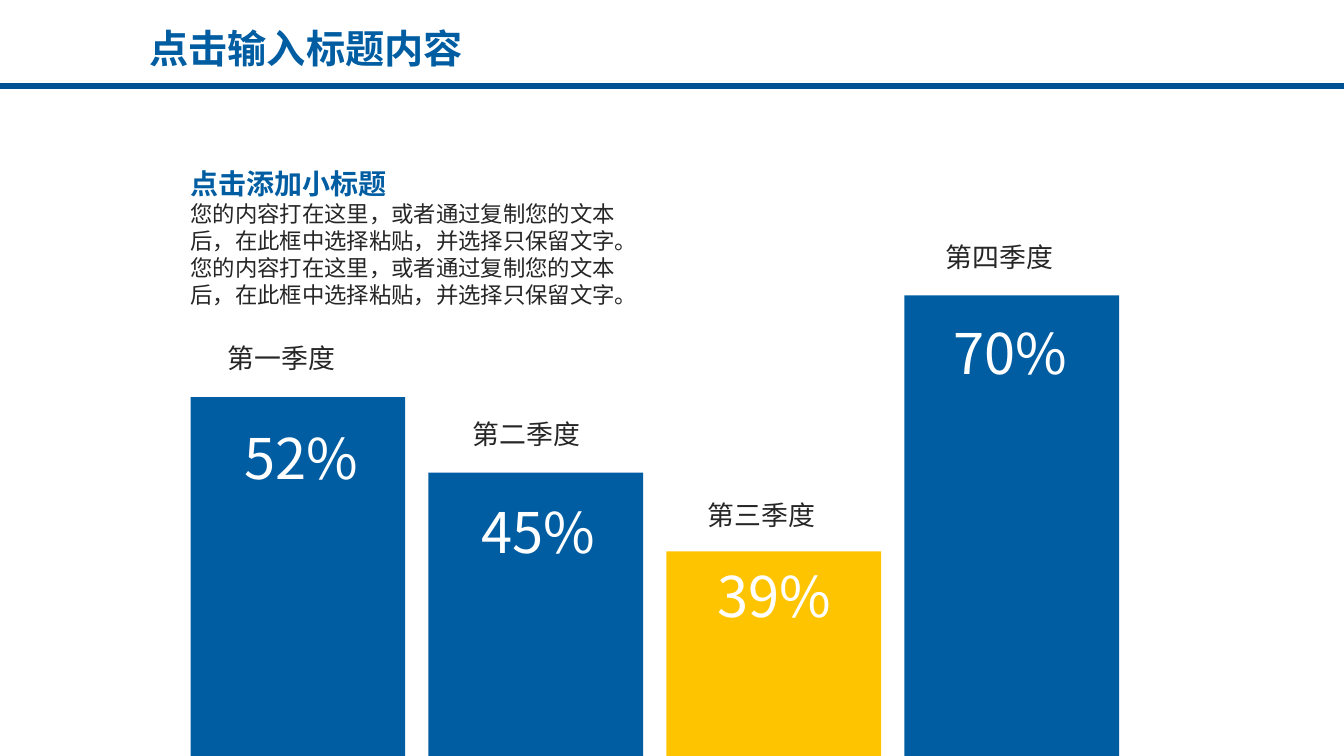
from dataclasses import dataclass
from pptx import Presentation
from pptx.dml.color import RGBColor
from pptx.enum.shapes import MSO_SHAPE as Shape
from pptx.enum.text import MSO_ANCHOR as Anchor, MSO_AUTO_SIZE as AutoSize, PP_ALIGN as Align
from pptx.oxml.ns import qn
from pptx.util import Inches, Pt
from lxml.etree import SubElement


@dataclass(frozen=True)
class Theme:
    font: str = "Noto Sans CJK SC"
    blue: str = "005DA2"
    rule: str = "005292"
    yellow: str = "FFC400"
    ink: str = "262626"
    white: str = "FFFFFF"
    title: int = 28
    subtitle: int = 20
    body: int = 16
    value: int = 40
    label: int = 24


@dataclass(frozen=True)
class Quarter:
    label: str
    value: str
    color: str
    top: float
    label_shift: tuple
    value_shift: tuple


THEME = Theme()
SLIDE_WIDTH, SLIDE_HEIGHT = 13.33, 7.5
BODY_TEXT = "您的内容打在这里，或者通过复制您的文本后，在此框中选择粘贴，并选择只保留文字。"
QUARTERS = [
    Quarter("第一季度", "52%", THEME.blue, 3.94, (0.29, -0.61), (0.44, 0.21)),
    Quarter("第二季度", "45%", THEME.blue, 4.69, (0.36, -0.61), (0.43, 0.2)),
    Quarter("第三季度", "39%", THEME.yellow, 5.47, (0.33, -0.58), (0.41, 0.05)),
    Quarter("第四季度", "70%", THEME.blue, 2.93, (0.33, -0.6), (0.39, 0.18)),
]


def set_all(target, values):
    for name, value in values.items():
        setattr(target, name, value)


def place(shape, box):
    set_all(shape, dict(zip(("left", "top", "width", "height"), map(Inches, box))))


def set_frame(frame, wrap=True, margins=(0.1, 0.05)):
    side, edge = map(Inches, margins)
    set_all(frame, {
        "word_wrap": wrap, "auto_size": AutoSize.SHAPE_TO_FIT_TEXT,
        "vertical_anchor": Anchor.TOP, "margin_left": side, "margin_right": side,
        "margin_top": edge, "margin_bottom": edge,
    })


def write(para, text, size, color, bold=False, align=Align.LEFT, spacing=1.0):
    set_all(para, {"alignment": align, "line_spacing": spacing,
                   "space_before": Pt(0), "space_after": Pt(0)})
    run = para.add_run()
    run.text = text
    set_all(run.font, {"name": THEME.font, "size": Pt(size), "bold": bold})
    run.font.color.rgb = RGBColor.from_string(color)
    properties = run._r.get_or_add_rPr()
    SubElement(properties, qn("a:ea")).set("typeface", THEME.font)
    return properties


def add_bar(page, box, color, line=None):
    bar = page.shapes.add_shape(Shape.RECTANGLE, *map(Inches, box))
    bar.shadow.inherit = False
    bar.fill.solid()
    bar.fill.fore_color.rgb = RGBColor.from_string(color)
    if line:
        bar.line.color.rgb = RGBColor.from_string(color)
        bar.line.width = Pt(line)
    else:
        bar.line.fill.background()


def add_header(page, box):
    left, top, width, height = box
    add_bar(page, (left, top + height - 0.05, width, 0.05), THEME.rule, line=1)
    title = page.shapes.title
    place(title, (left + 1.24, top + 0.19, 3.59, 0.57))
    set_frame(title.text_frame)
    write(title.text_frame.paragraphs[0], "点击输入标题内容", THEME.title,
          THEME.blue, bold=True, align=Align.CENTER)


def add_intro(page, box):
    body = page.placeholders[1]
    place(body, box)
    frame = body.text_frame
    set_frame(frame)
    rows = [("点击添加小标题", THEME.subtitle, THEME.blue, True, 2.0)]
    rows += [(BODY_TEXT, THEME.body, THEME.ink, False, 1.0)] * 2
    for index, (text, size, color, bold, spacing) in enumerate(rows):
        para = frame.add_paragraph() if index else frame.paragraphs[0]
        properties = para._p.get_or_add_pPr()
        properties.set("marL", "0")
        properties.set("indent", "0")
        SubElement(properties, qn("a:buNone"))
        write(para, text, size, color, bold, spacing=spacing)


def add_quarter(page, box, quarter):
    left, top, width, height = box
    add_bar(page, box, quarter.color)

    across, down = quarter.value_shift
    value = page.shapes.add_textbox(*map(Inches, (left + across, top + down, 1.36, 0.77)))
    set_frame(value.text_frame, wrap=False)
    write(value.text_frame.paragraphs[0], quarter.value, THEME.value, THEME.white)

    across, down = quarter.label_shift
    label = page.shapes.add_textbox(*map(Inches, (left + across, top + down, 1.54, 0.44)))
    set_frame(label.text_frame, margins=(0.08, 0.04))
    properties = write(label.text_frame.paragraphs[0], quarter.label, THEME.label,
                       THEME.ink, spacing=0.9)
    properties.set("cap", "small")


def add_quarters(page, box):
    left, top, width, height = box
    gap = 0.23
    bar_width = (width - gap * (len(QUARTERS) - 1)) / len(QUARTERS)
    for index, quarter in enumerate(QUARTERS):
        bar_left = left + index * (bar_width + gap)
        add_quarter(page, (bar_left, quarter.top, bar_width, top + height - quarter.top), quarter)


def main():
    deck = Presentation()
    set_all(deck, {"slide_width": Inches(SLIDE_WIDTH), "slide_height": Inches(SLIDE_HEIGHT)})
    page = deck.slides.add_slide(deck.slide_layouts[1])
    add_header(page, (0, 0, SLIDE_WIDTH, 0.88))
    add_quarters(page, (1.89, 2.93, 9.21, 4.6))
    add_intro(page, (1.79, 1.27, 4.61, 1.85))
    deck.save("out.pptx")


if __name__ == "__main__":
    main()
